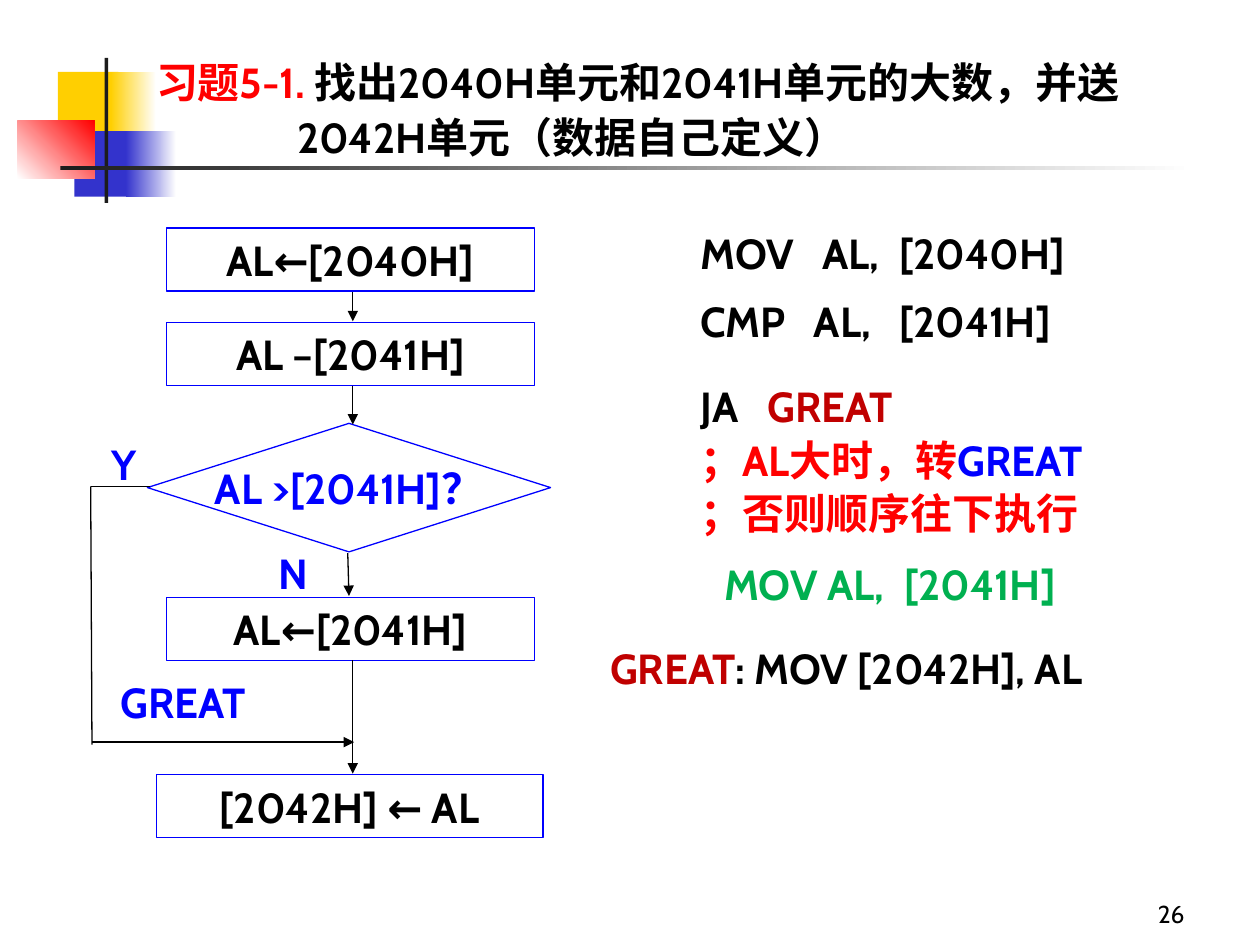
from dataclasses import dataclass
from typing import Optional

from lxml import etree
from pptx import Presentation
from pptx import util as u
from pptx.dml.color import RGBColor
from pptx.enum import shapes, text
from pptx.oxml.ns import qn

BLACK = RGBColor(0x00, 0x00, 0x00)
WHITE = RGBColor(0xFF, 0xFF, 0xFF)
CHARCOAL = RGBColor(0x1C, 0x1C, 0x1C)
YELLOW = RGBColor(0xFF, 0xCF, 0x01)
INDIGO = RGBColor(0x33, 0x33, 0xCC)
BLUE = RGBColor(0x00, 0x00, 0xFF)
RED = RGBColor(0xFF, 0x00, 0x00)
DARK_RED = RGBColor(0xC0, 0x00, 0x00)
GREEN = RGBColor(0x00, 0xB0, 0x50)

FONT = "Cabin"
LEFT, CENTER, RIGHT = text.PP_ALIGN.LEFT, text.PP_ALIGN.CENTER, text.PP_ALIGN.RIGHT
RECTANGLE = shapes.MSO_SHAPE.RECTANGLE
DIAMOND = shapes.MSO_SHAPE.DIAMOND


@dataclass
class Line:
    phrases: list[tuple[str, RGBColor]]
    spacing: float = 1.0
    before: float = 0
    indent: float = 0
    tabs: tuple[float, ...] = ()


@dataclass
class Label:
    box: tuple[float, float, float, float]
    lines: list[Line]
    align: text.PP_ALIGN = LEFT
    wrap: bool = True
    size: float = 24
    bold: bool = True
    anchor: text.MSO_ANCHOR = text.MSO_ANCHOR.TOP
    fit: bool = True


@dataclass
class Block:
    box: tuple[float, float, float, float]
    start: RGBColor
    end: Optional[RGBColor] = None
    angle: float = 0


@dataclass
class Arrow:
    start: tuple[float, float]
    end: tuple[float, float]
    head: bool = True


BLOCKS = [
    Block((0.46, 0.57, 0.48, 0.52), YELLOW),
    Block((0.88, 0.57, 0.36, 0.52), YELLOW, WHITE),
    Block((0.59, 1.04, 0.46, 0.52), INDIGO),
    Block((1, 1.04, 0.4, 0.52), INDIGO, WHITE),
    Block((0.14, 0.96, 0.61, 0.46), WHITE, RED, 45),
    Block((0.83, 0.46, 0.03, 1.15), CHARCOAL),
    Block((0.48, 1.32, 9, 0.03), CHARCOAL, WHITE),
]

STEPS = [
    Label((left, top, width, 0.5), [Line([(caption, BLACK)])], CENTER)
    for left, top, width, caption in [
        (1.32, 1.81, 2.92, "AL←[2040H]"),
        (1.32, 2.56, 2.92, "AL –[2041H]"),
        (1.32, 4.74, 2.92, "AL←[2041H]"),
        (1.24, 6.15, 3.07, "[2042H] ← AL"),
    ]
]
DECISION = Label((1.17, 3.36, 3.2, 1.02), [Line([("AL >[2041H]？", BLUE)])], CENTER,
                 wrap=False, anchor=text.MSO_ANCHOR.MIDDLE, fit=False)

ARROWS = [
    Arrow((1.19, 3.86), (0.72, 3.86), head=False),
    Arrow((0.72, 3.86), (0.73, 5.91), head=False),
    Arrow((0.73, 5.89), (2.81, 5.89)),
    Arrow((2.8, 2.32), (2.8, 2.55)),
    Arrow((2.8, 3.06), (2.8, 3.37)),
    Arrow((2.76, 4.39), (2.77, 4.73)),
    Arrow((2.8, 5.24), (2.8, 6.14)),
]

LABELS = [
    Label((1.14, 0.36, 8.4, 0.99), [
        Line([("习题5-1. ", RED), ("找出2040H单元和2041H单元的大数，并送", BLACK)], 1.1),
        Line([("2042H单元（数据自己定义）", BLACK)], 1.1, indent=1.12),
    ]),
    Label((2.11, 4.3, 0.47, 0.5), [Line([("N", BLUE)])]),
    Label((0.65, 3.43, 0.67, 0.5), [Line([("Y", BLUE)])], CENTER),
    Label((0.79, 5.32, 1.33, 0.5), [Line([("GREAT", BLUE)])], CENTER, wrap=False),
    Label((5.46, 1.64, 4.12, 1.21), [
        Line([("MOV\tAL,\t[2040H]", BLACK)], 1.3, tabs=(0.97, 1.58)),
        Line([("CMP\tAL,\t[2041H]", BLACK)], 0.95, 12, tabs=(0.9, 1.58)),
    ]),
    Label((5.46, 2.85, 3.59, 0.62),
          [Line([("JA\t", BLACK), ("GREAT", DARK_RED)], 1.3, tabs=(0.53,))]),
    Label((5.46, 3.4, 3.73, 0.93), [
        Line([("；AL大时，转", RED), ("GREAT", BLUE)]),
        Line([("；否则顺序往下执行", RED)], before=1.2),
    ]),
    Label((5.65, 4.26, 3.2, 0.62),
          [Line([("MOV AL,\t[2041H]", GREEN)], 1.3, tabs=(1.43,))]),
    Label((4.49, 4.93, 4.45, 0.62),
          [Line([("GREAT", DARK_RED), (": MOV [2042H], AL", BLACK)], 1.3)],
          CENTER, wrap=False),
    Label((7.42, 6.92, 2.08, 0.5), [Line([("26", BLACK)])], RIGHT, size=14,
          bold=False, anchor=text.MSO_ANCHOR.BOTTOM, fit=False),
]


def write_text(shape, label: Label) -> None:
    frame = shape.text_frame
    frame.word_wrap = label.wrap
    frame.auto_size = (text.MSO_AUTO_SIZE.SHAPE_TO_FIT_TEXT if label.fit
                       else text.MSO_AUTO_SIZE.NONE)
    frame.vertical_anchor = label.anchor
    for index, line in enumerate(label.lines):
        paragraph = frame.add_paragraph() if index else frame.paragraphs[0]
        properties = paragraph._p.get_or_add_pPr()
        if line.indent:
            properties.set("marL", str(u.Inches(line.indent)))
            properties.set("indent", "0")
        if line.tabs:
            tab_list = etree.SubElement(properties, qn("a:tabLst"))
            for stop in line.tabs:
                etree.SubElement(tab_list, qn("a:tab"), pos=str(u.Inches(stop)), algn="l")
        paragraph.alignment = label.align
        paragraph.line_spacing = line.spacing
        if line.before:
            paragraph.space_before = u.Pt(line.before)
        for words, color in line.phrases:
            run = paragraph.add_run()
            run.text = words
            run.font.name = FONT
            run.font.size = u.Pt(label.size)
            run.font.bold = label.bold
            run.font.color.rgb = color


def add_block(slide, block: Block) -> None:
    shape = slide.shapes.add_shape(RECTANGLE, *map(u.Inches, block.box))
    shape.shadow.inherit = False
    shape.line.fill.background()
    if block.end is None:
        shape.fill.solid()
        shape.fill.fore_color.rgb = block.start
        return
    shape.fill.gradient()
    shape.fill.gradient_angle = block.angle
    for stop, color in zip(shape.fill.gradient_stops, (block.start, block.end)):
        stop.color.rgb = color


def add_node(slide, kind: shapes.MSO_SHAPE, label: Label) -> None:
    shape = slide.shapes.add_shape(kind, *map(u.Inches, label.box))
    shape.shadow.inherit = False
    shape.fill.background()
    shape.line.color.rgb = BLUE
    shape.line.width = u.Pt(0.75)
    write_text(shape, label)


def add_arrow(slide, arrow: Arrow) -> None:
    connector = slide.shapes.add_connector(
        shapes.MSO_CONNECTOR.STRAIGHT, *map(u.Inches, arrow.start + arrow.end))
    connector.line.color.rgb = BLACK
    connector.line.width = u.Pt(0.75)
    properties = connector._element.spPr
    if arrow.head:
        etree.SubElement(properties.find(qn("a:ln")), qn("a:tailEnd"), type="triangle")
    etree.SubElement(properties, qn("a:effectLst"))


def main() -> None:
    presentation = Presentation()
    presentation.slide_width, presentation.slide_height = u.Inches(10), u.Inches(7.5)
    slide = presentation.slides.add_slide(presentation.slide_layouts[6])
    for block in BLOCKS:
        add_block(slide, block)
    for step in STEPS:
        add_node(slide, RECTANGLE, step)
    add_node(slide, DIAMOND, DECISION)
    for arrow in ARROWS:
        add_arrow(slide, arrow)
    for label in LABELS:
        write_text(slide.shapes.add_textbox(*map(u.Inches, label.box)), label)
    presentation.save("out.pptx")


if __name__ == "__main__":
    main()
